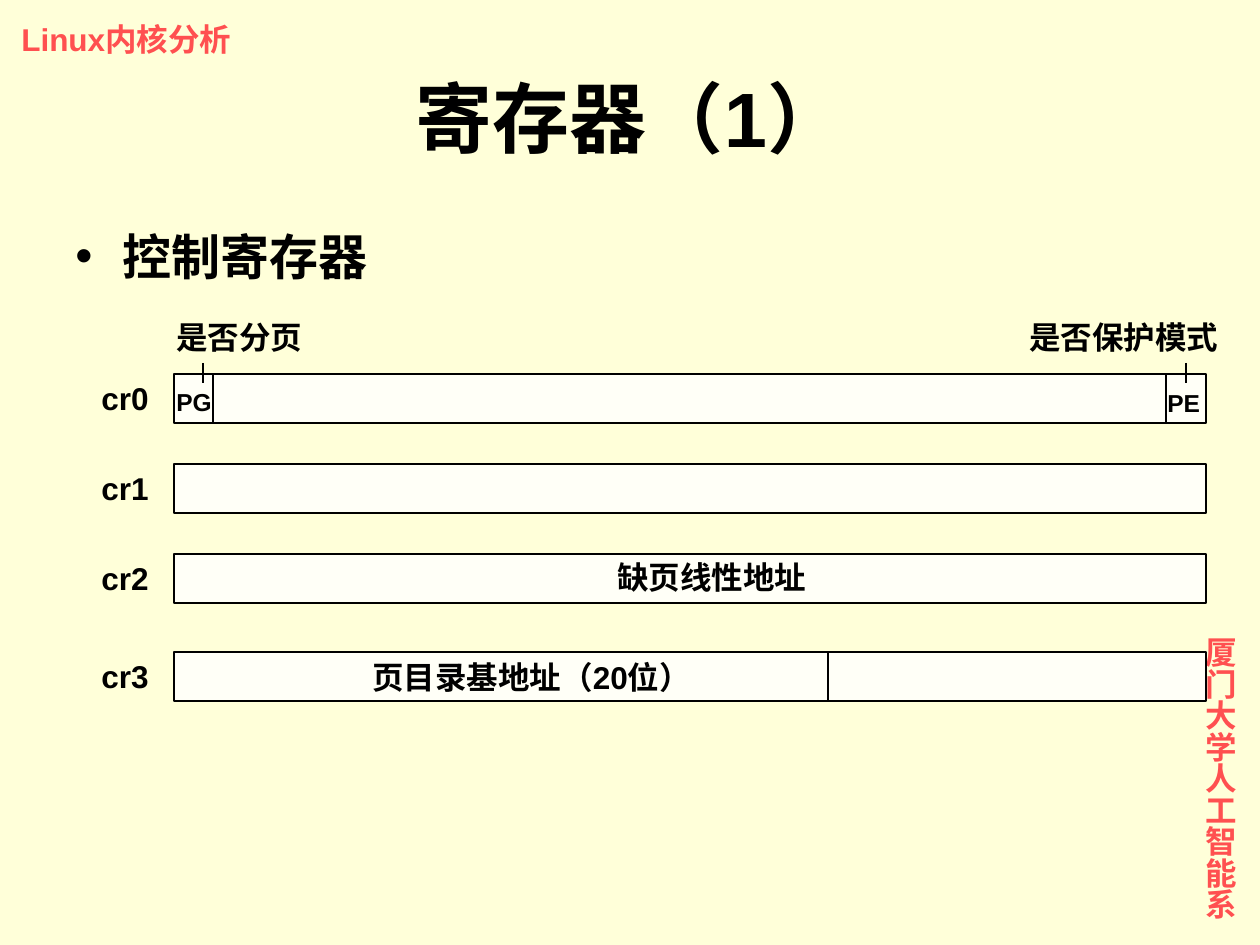
from lxml.etree import SubElement
from pptx import Presentation
from pptx.dml.color import RGBColor
from pptx.enum.shapes import MSO_CONNECTOR as Link, MSO_SHAPE as Shape
from pptx.enum.text import MSO_ANCHOR as Anchor, MSO_AUTO_SIZE as Auto, PP_ALIGN as Align
from pptx.oxml.ns import qn
from pptx.util import Emu, Pt

CREAM = RGBColor(0xFF, 0xFF, 0xD9)
IVORY = RGBColor(0xFF, 0xFF, 0xF7)
BLACK = RGBColor(0, 0, 0)
RED = RGBColor(0xFF, 0x50, 0x50)

LEFT, WIDTH, HEIGHT = 174, 1032, 49
ROWS = {"cr0": 374, "cr1": 464, "cr2": 554, "cr3": 652}


def px(num):
    """Turn slide pixels into EMU."""
    return Emu(round(num * 914400 / 126))


def add_text(slide, text, x, y, w, h, size=18, color=BLACK, font="Arial",
             align=Align.LEFT, anchor=Anchor.TOP, bullet=False, upright=False):
    """Add a bold text box with slack at the end of its line."""
    box = slide.shapes.add_textbox(px(x), px(y), px(w), px(h))
    frame = box.text_frame
    frame.word_wrap = True
    frame.auto_size = Auto.NONE
    frame.vertical_anchor = anchor
    if upright:
        box.element.txBody.bodyPr.set("vert", "eaVert")
        frame.margin_left = frame.margin_right = frame.margin_top = px(6)
        frame.margin_bottom = 0
    elif align == Align.LEFT:
        frame.margin_right = 0
    para = frame.paragraphs[0]
    para.alignment = align
    if bullet:
        props = para._p.get_or_add_pPr()
        props.set("marL", str(px(47)))
        props.set("indent", str(px(-47)))
        SubElement(props, qn("a:buFont"), typeface=font)
        SubElement(props, qn("a:buChar"), char="•")
    run = para.add_run()
    run.text = text
    run.font.name = font
    run.font.size = Pt(size)
    run.font.bold = True
    run.font.color.rgb = color


def add_rule(slide, x, top, end):
    """Draw a thin upright line."""
    rule = slide.shapes.add_connector(Link.STRAIGHT, px(x), px(top), px(x), px(end))
    rule.line.color.rgb = BLACK
    rule.line.width = Pt(0.75)
    SubElement(rule.element.spPr, qn("a:effectLst"))


def add_row(slide, name, top, cuts=()):
    """Draw one register with its name and field borders."""
    bar = slide.shapes.add_shape(Shape.RECTANGLE, px(LEFT), px(top), px(WIDTH), px(HEIGHT))
    bar.shadow.inherit = False
    bar.fill.solid()
    bar.fill.fore_color.rgb = IVORY
    bar.line.color.rgb = BLACK
    bar.line.width = Pt(0.75)
    for cut in cuts:
        add_rule(slide, cut, top, top + HEIGHT)
    add_text(slide, name, 89, top - 1, 72, 50)


def main():
    """Build and save the slide."""
    deck = Presentation()
    deck.slide_width, deck.slide_height = px(1260), px(945)
    slide = deck.slides.add_slide(deck.slide_layouts[6])
    back = slide.background.fill
    back.solid()
    back.fore_color.rgb = CREAM

    add_text(slide, "Linux内核分析", 9, 14, 242, 50, color=RED)
    add_text(slide, "厦门大学人工智能系", 1182, 631, 63, 296, color=RED, upright=True)
    add_text(slide, "寄存器（1）", 63, 38, 1134, 158, size=44,
             align=Align.CENTER, anchor=Anchor.MIDDLE)
    add_text(slide, "控制寄存器", 63, 220, 1134, 689, size=28, bullet=True)

    cuts = {"cr0": (213, 1166), "cr3": (828,)}
    for name, top in ROWS.items():
        add_row(slide, name, top, cuts.get(name, ()))

    add_text(slide, "PG", 164, 381, 60, 43, size=14)
    add_text(slide, "PE", 1155, 382, 58, 43, size=14)
    add_text(slide, "缺页线性地址", 605, 552, 214, 50)
    add_text(slide, "页目录基地址（20位）", 360, 652, 359, 50)
    for text, x, w, tick in (("是否分页", 164, 151, 203), ("是否保护模式", 1017, 214, 1186)):
        add_text(slide, text, x, 312, w, 50, font="DejaVu Sans")
        add_rule(slide, tick, 363, 383)

    deck.save("out.pptx")


if __name__ == "__main__":
    main()
